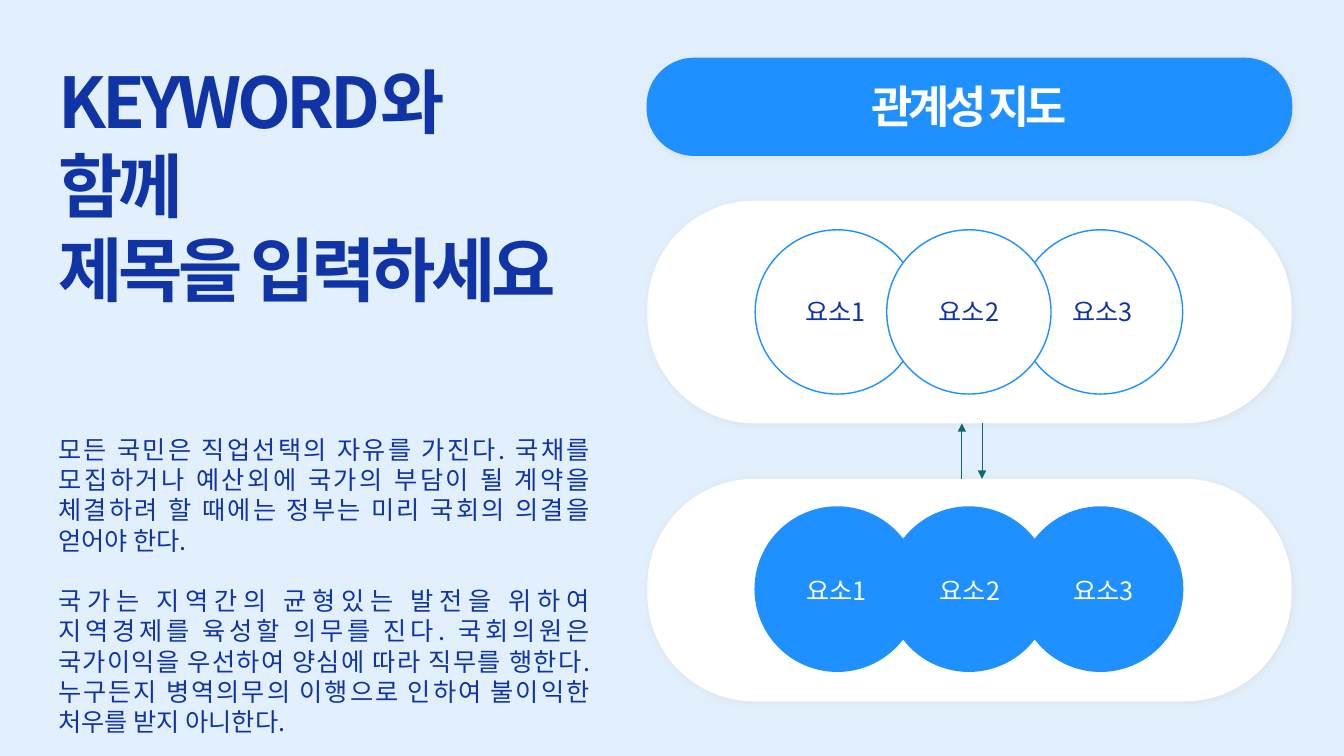
from lxml.etree import SubElement
from pptx import Presentation
from pptx.dml.color import RGBColor
from pptx.enum.shapes import MSO_CONNECTOR, MSO_SHAPE
from pptx.enum.text import MSO_AUTO_SIZE, PP_ALIGN
from pptx.oxml.ns import qn
from pptx.util import Inches, Pt

COLORS = {"background": "E2F0FE", "white": "FFFFFF", "blue": "1E90FF",
          "navy": "1034A6", "teal": "146772", "shadow": "D9D9D9"}
FONT = "Noto Sans CJK KR"
TITLE = ["KEYWORD와 함께", "제목을 입력하세요"]
BODY = [
    "모든 국민은 직업선택의 자유를 가진다. 국채를 모집하거나 예산외에 국가의 부담이 될 "
    "계약을 체결하려 할 때에는 정부는 미리 국회의 의결을 얻어야 한다.",
    "국가는 지역간의 균형있는 발전을 위하여 지역경제를 육성할 의무를 진다. 국회의원은 "
    "국가이익을 우선하여 양심에 따라 직무를 행한다. 누구든지 병역의무의 이행으로 인하여 "
    "불이익한 처우를 받지 아니한다.",
]
PANEL_LEFT, PANEL_WIDTH, PANEL_HEIGHT = 6.42, 6.39, 2.21
CIRCLE_LEFT, CIRCLE_SIZE, CIRCLE_STEP = 7.49, 1.63, 1.305
LABEL_WIDTH, LABEL_STEP = 1.13, 1.325


class SlideBuilder:
    """Draw styled elements on one slide."""

    def __init__(self, slide):
        self.slide = slide
        slide.background.fill.solid()
        slide.background.fill.fore_color.rgb = self.color("background")

    def color(self, name):
        return RGBColor.from_string(COLORS[name])

    def shape(self, kind, box, fill, line=None):
        shape = self.slide.shapes.add_shape(kind, *map(Inches, box))
        shape.shadow.inherit = False
        shape.fill.solid()
        shape.fill.fore_color.rgb = self.color(fill)
        if line:
            shape.line.color.rgb = self.color(line)
            shape.line.width = Pt(1)
        else:
            shape.line.fill.background()
        return shape

    def pill(self, top, height, fill, line=None):
        box = (PANEL_LEFT, top, PANEL_WIDTH, height)
        shape = self.shape(MSO_SHAPE.ROUNDED_RECTANGLE, box, fill, line)
        shape.adjustments[0] = 0.482
        effects = shape.element.spPr.find(qn("a:effectLst"))
        shadow = SubElement(effects, qn("a:outerShdw"), blurRad=str(Pt(6)),
                            dist=str(Pt(1)), dir="2700000", algn="tl", rotWithShape="0")
        tint = SubElement(shadow, qn("a:srgbClr"), val=COLORS["shadow"])
        SubElement(tint, qn("a:alpha"), val="60000")

    def text(self, box, paragraphs, size, color, align, bold=False, spacing=0, gap=0):
        frame = self.slide.shapes.add_textbox(*map(Inches, box)).text_frame
        for name, value in {"word_wrap": True,
                            "auto_size": MSO_AUTO_SIZE.SHAPE_TO_FIT_TEXT}.items():
            setattr(frame, name, value)
        for index, words in enumerate(paragraphs):
            paragraph = frame.add_paragraph() if index else frame.paragraphs[0]
            paragraph.alignment = align
            if index and gap:
                paragraph.space_before = Pt(gap)
            run = paragraph.add_run()
            run.text = words
            for name, value in {"size": Pt(size), "bold": bold, "name": FONT}.items():
                setattr(run.font, name, value)
            run.font.color.rgb = self.color(color)
            properties = run.font._element
            SubElement(properties, qn("a:ea"), typeface=FONT)
            if spacing:
                properties.set("spc", str(spacing * 100))

    def arrow(self, x, start, end):
        points = map(Inches, (x, start, x, end))
        connector = self.slide.shapes.add_connector(MSO_CONNECTOR.STRAIGHT, *points)
        connector.line.color.rgb = self.color("teal")
        connector.line.width = Pt(0.5)
        SubElement(connector.line._get_or_add_ln(), qn("a:tailEnd"), type="triangle")
        SubElement(connector._element.spPr, qn("a:effectLst"))

    def element_group(self, top, circle_top, label_left, label_top, fill, color):
        self.pill(top, PANEL_HEIGHT, "white")
        for column in (0, 2, 1):
            left = CIRCLE_LEFT + column * CIRCLE_STEP
            self.shape(MSO_SHAPE.OVAL, (left, circle_top, CIRCLE_SIZE, CIRCLE_SIZE),
                       fill, "blue")
        for column in range(3):
            box = (label_left + column * LABEL_STEP, label_top, LABEL_WIDTH, 0.4)
            self.text(box, [f"요소{column + 1}"], 18, color, PP_ALIGN.CENTER)


def main():
    presentation = Presentation()
    presentation.slide_width = Inches(13.33)
    presentation.slide_height = Inches(7.5)
    builder = SlideBuilder(presentation.slides.add_slide(presentation.slide_layouts[6]))
    builder.text((0.48, 0.53, 5.33, 2.63), TITLE, 50, "navy", PP_ALIGN.LEFT, True, -3)
    builder.text((0.48, 4.26, 5.47, 3.13), BODY, 18, "navy", PP_ALIGN.JUSTIFY, gap=21.6)
    builder.pill(0.58, 0.96, "blue", "blue")
    builder.text((6.95, 0.73, 5.33, 0.64), ["관계성 지도"], 32, "white",
                 PP_ALIGN.CENTER, True, -3)
    builder.element_group(1.99, 2.28, 7.72, 2.89, "white", "navy")
    builder.element_group(4.75, 5.03, 7.73, 5.66, "blue", "white")
    builder.arrow(9.54, 4.75, 4.2)
    builder.arrow(9.74, 4.2, 4.75)
    presentation.save("out.pptx")


if __name__ == "__main__":
    main()
